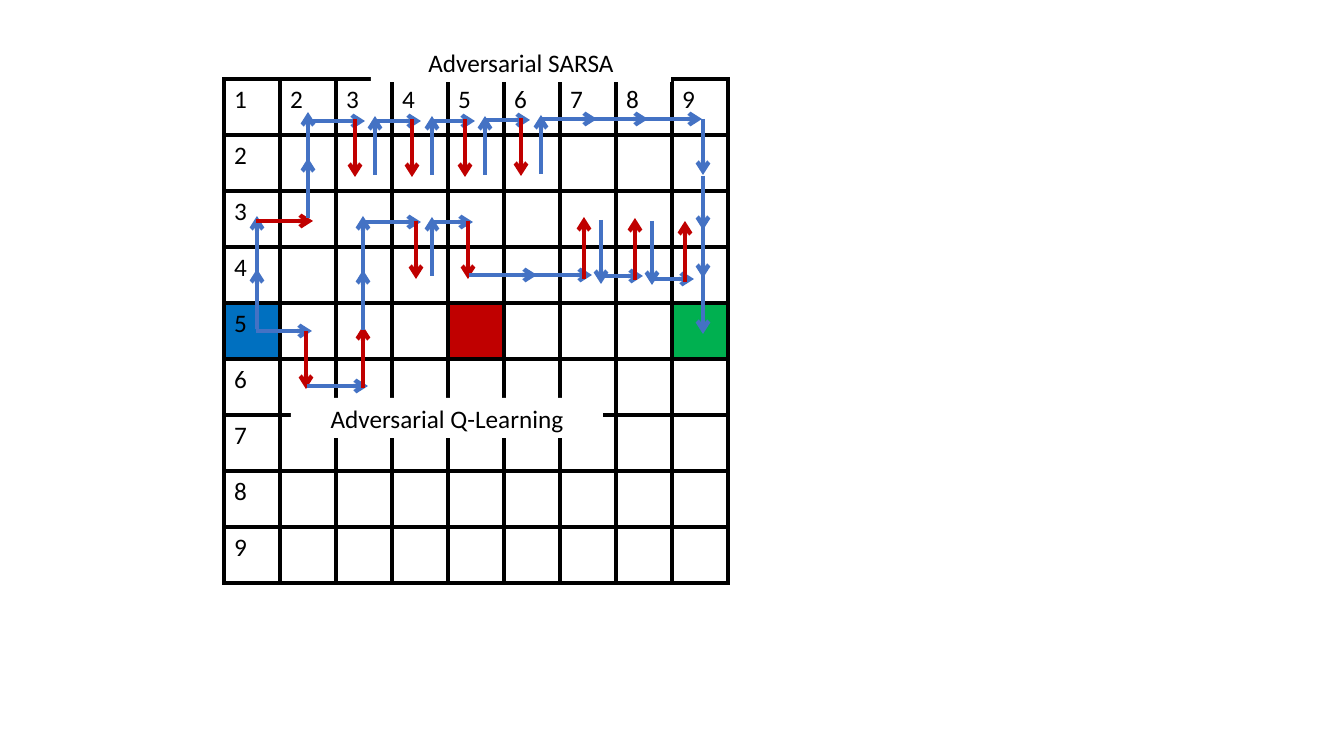
import dataclasses

import lxml.etree
import pptx
import pptx.dml.color
import pptx.enum.shapes
import pptx.enum.text
import pptx.oxml.ns
import pptx.util

PIXEL = 914400 / 100.8


@dataclasses.dataclass(frozen=True)
class Theme:
    font: str = "Calibri"
    size: int = 18
    stroke: int = 3
    ink: str = "000000"
    paper: str = "FFFFFF"
    agent: str = "4472C4"
    adversary: str = "C00000"
    start: str = "0070C0"
    obstacle: str = "C00000"
    goal: str = "00B050"


THEME = Theme()
GRID_LEFT, GRID_TOP, CELL, GRID_SIZE = 224, 79, 56, 9
MARKED_CELLS = {(4, 0): THEME.start, (4, 4): THEME.obstacle, (4, 8): THEME.goal}

AGENT, ADVERSARY = THEME.agent, THEME.adversary
SARSA_ROUTE = [
    (AGENT, 257, 329, 257, 269),
    (AGENT, 257, 275, 257, 216),
    (ADVERSARY, 256, 221, 313, 221),
    (AGENT, 308, 218, 308, 158),
    (AGENT, 308, 163, 308, 112),
    (AGENT, 309, 121, 365, 121),
    (ADVERSARY, 355, 119, 355, 177),
    (AGENT, 375, 175, 375, 116),
    (AGENT, 375, 121, 421, 121),
    (ADVERSARY, 412, 119, 412, 177),
    (AGENT, 432, 175, 432, 116),
    (AGENT, 433, 121, 475, 121),
    (ADVERSARY, 465, 119, 465, 177),
    (AGENT, 485, 175, 485, 116),
    (AGENT, 486, 120, 530, 120),
    (ADVERSARY, 521, 118, 521, 176),
    (AGENT, 541, 174, 541, 115),
    (AGENT, 542, 119, 597, 119),
    (AGENT, 593, 119, 648, 119),
    (AGENT, 643, 119, 702, 119),
    (AGENT, 703, 119, 703, 175),
    (AGENT, 703, 176, 703, 230),
    (AGENT, 703, 225, 703, 278),
    (AGENT, 703, 272, 703, 334),
]
Q_LEARNING_ROUTE = [
    (AGENT, 256, 331, 312, 331),
    (ADVERSARY, 306, 331, 306, 389),
    (AGENT, 307, 386, 368, 386),
    (ADVERSARY, 363, 388, 363, 326),
    (AGENT, 363, 330, 363, 270),
    (AGENT, 363, 275, 363, 216),
    (AGENT, 361, 222, 421, 222),
    (ADVERSARY, 416, 221, 416, 279),
    (AGENT, 432, 276, 432, 217),
    (AGENT, 433, 222, 473, 222),
    (ADVERSARY, 468, 221, 468, 279),
    (AGENT, 469, 275, 537, 275),
    (AGENT, 523, 275, 592, 275),
    (ADVERSARY, 584, 279, 584, 217),
    (AGENT, 601, 220, 601, 284),
    (AGENT, 599, 276, 643, 276),
    (ADVERSARY, 635, 280, 635, 218),
    (AGENT, 652, 221, 652, 285),
    (AGENT, 649, 279, 694, 279),
    (ADVERSARY, 685, 282, 685, 221),
]


def emu(pixels):
    return pptx.util.Emu(round(pixels * PIXEL))


def rgb(colour):
    return pptx.dml.color.RGBColor.from_string(colour)


def add_xml(parent, tag, **attributes):
    return lxml.etree.SubElement(parent, pptx.oxml.ns.qn(tag), **attributes)


def write(frame, text):
    para = frame.paragraphs[0]
    para.text = text
    para.font.name = THEME.font
    para.font.size = pptx.util.Pt(THEME.size)
    para.font.color.rgb = rgb(THEME.ink)
    return para


def paint_cell(cell, colour):
    properties = cell._tc.get_or_add_tcPr()
    for side in ("a:lnL", "a:lnR", "a:lnT", "a:lnB"):
        border = add_xml(properties, side, w=str(pptx.util.Pt(THEME.stroke)))
        add_xml(add_xml(border, "a:solidFill"), "a:srgbClr", val=THEME.ink)
    if colour:
        cell.fill.solid()
        cell.fill.fore_color.rgb = rgb(colour)
    else:
        cell.fill.background()


def add_grid(page):
    side = emu(CELL * GRID_SIZE)
    table = page.shapes.add_table(
        GRID_SIZE, GRID_SIZE, emu(GRID_LEFT), emu(GRID_TOP), side, side
    ).table
    table.first_row = False
    table.horz_banding = False
    for index in range(GRID_SIZE):
        table.columns[index].width = emu(CELL)
        table.rows[index].height = emu(CELL)
    for row in range(GRID_SIZE):
        for column in range(GRID_SIZE):
            cell = table.cell(row, column)
            paint_cell(cell, MARKED_CELLS.get((row, column)))
            if row == 0 or column == 0:
                write(cell.text_frame, str(row + column + 1))


def add_label(page, text, left, top, width, height):
    box = page.shapes.add_shape(
        pptx.enum.shapes.MSO_SHAPE.RECTANGLE,
        emu(left), emu(top), emu(width), emu(height),
    )
    box.shadow.inherit = False
    box.fill.solid()
    box.fill.fore_color.rgb = rgb(THEME.paper)
    box.line.fill.background()
    frame = box.text_frame
    frame.word_wrap = True
    frame.auto_size = pptx.enum.text.MSO_AUTO_SIZE.SHAPE_TO_FIT_TEXT
    frame.vertical_anchor = pptx.enum.text.MSO_ANCHOR.TOP
    write(frame, text).alignment = pptx.enum.text.PP_ALIGN.CENTER


def add_arrow(page, colour, *ends):
    arrow = page.shapes.add_connector(
        pptx.enum.shapes.MSO_CONNECTOR.STRAIGHT, *map(emu, ends)
    )
    arrow.line.color.rgb = rgb(colour)
    arrow.line.width = pptx.util.Pt(THEME.stroke)
    add_xml(arrow.line._get_or_add_ln(), "a:tailEnd", type="arrow")
    add_xml(arrow._element.spPr, "a:effectLst")


def main():
    deck = pptx.Presentation()
    deck.slide_width, deck.slide_height = emu(1344), emu(756)
    page = deck.slides.add_slide(deck.slide_layouts.get_by_name("Blank"))
    add_grid(page)
    add_label(page, "Adversarial SARSA", 371, 42, 300, 40)
    for step in SARSA_ROUTE + Q_LEARNING_ROUTE:
        add_arrow(page, *step)
    add_label(page, "Adversarial Q-Learning", 291, 398, 312, 40)
    deck.save("out.pptx")


main()
